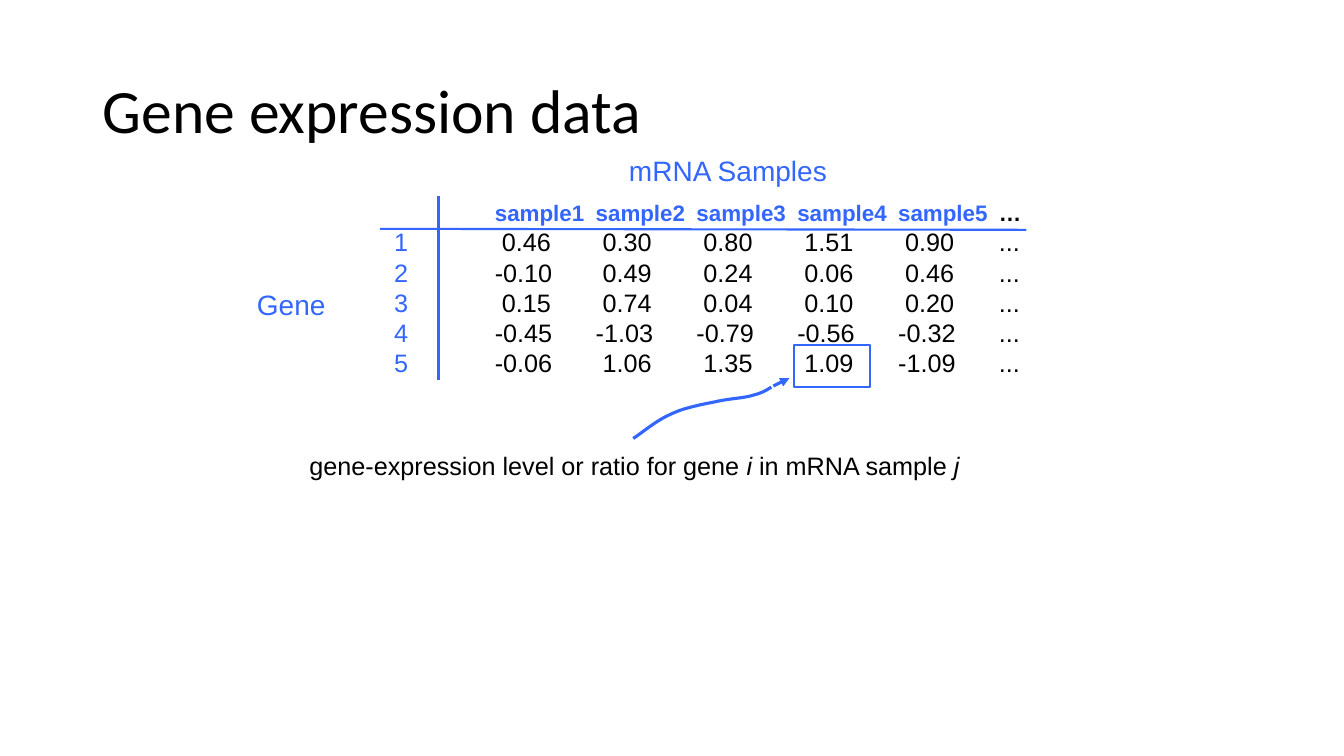
from pptx import Presentation
from pptx.dml.color import RGBColor
from pptx.enum.shapes import MSO_CONNECTOR as Connector, MSO_SHAPE as Preset
from pptx.enum.text import MSO_ANCHOR as Anchor, MSO_AUTO_SIZE as AutoSize, PP_ALIGN as Align
from pptx.oxml.ns import qn
from pptx.util import Inches, Pt
from lxml import etree

BLUE = RGBColor(0x33, 0x66, 0xFF)
BLACK = RGBColor(0x00, 0x00, 0x00)

TITLE = "Gene expression data"
SAMPLES = ["sample1", "sample2", "sample3", "sample4", "sample5"]
EXPRESSION = [
    (0.46, 0.30, 0.80, 1.51, 0.90),
    (-0.10, 0.49, 0.24, 0.06, 0.46),
    (0.15, 0.74, 0.04, 0.10, 0.20),
    (-0.45, -1.03, -0.79, -0.56, -0.32),
    (-0.06, 1.06, 1.35, 1.09, -1.09),
]

LABEL = {"size": Pt(20), "color": BLUE}
BODY = {"size": Pt(18), "color": BLACK}
ITALIC = {**BODY, "italic": True}
GENE_NUMBER = {**BODY, "color": BLUE}
SAMPLE_NAME = {"size": Pt(16), "color": BLUE, "bold": True}
HEADER_END = {**SAMPLE_NAME, "color": BLACK}

CAPTION = [
    ("gene-expression level or ratio for gene ", BODY),
    ("i ", ITALIC),
    ("in mRNA sample ", BODY),
    ("j", ITALIC),
]
HEADER = [("\t", BODY), ("\t".join(SAMPLES), SAMPLE_NAME), (" \t…", HEADER_END)]
GENE_ROWS = [
    [(str(gene), GENE_NUMBER),
     ("".join(f"\t{value: .2f}" for value in values) + "\t...", BODY)]
    for gene, values in enumerate(EXPRESSION, 1)
]

TITLE_AREA = (6.9, 5.33, 86.27, 19.33)
TEXTS = [
    ((18.38, 37.33, 6.6, 5.73), [[("Gene", LABEL)]], 0),
    ((46.06, 19.6, 16.35, 5.73), [[("mRNA Samples", LABEL)]], 0),
    ((22.28, 58.93, 50.34, 5.33), [CAPTION], 0),
    ((28.58, 25.33, 48.61, 25.6), [HEADER, *GENE_ROWS], len(SAMPLES) + 1),
]
COLUMN_WIDTH = Inches(1)
RULES = [(28.28, 30.27, 76.37, 30.4), (32.63, 25.87, 32.63, 50.27)]
VALUE_FRAME = (59.11, 45.6, 5.63, 5.6)
ARROW_TIP = (57.54, 51.07, 58.74, 50)
CURVE_START = (57.39, 51.2)
CURVE_PARTS = [
    ((57.16, 51.47), (56.71, 52), (56.04, 52.27)),
    ((55.36, 52.67), (54.46, 52.67), (53.41, 53.07)),
    ((52.36, 53.47), (50.94, 53.87), (49.89, 54.8)),
    ((48.84, 55.6), (47.71, 57.33), (47.11, 58)),
]
CURVE_STEPS = 10

presentation = Presentation()
presentation.slide_width = Inches(13.33)
presentation.slide_height = Inches(7.5)
slide = presentation.slides.add_slide(presentation.slide_layouts[5])
shapes = slide.shapes


def place(shares):
    sides = (presentation.slide_width, presentation.slide_height)
    return [round(share * sides[index % 2] / 100) for index, share in enumerate(shares)]


def set_values(target, values):
    for name, value in values.items():
        setattr(target, name, value)


def add_run(paragraph, text, style, font_name="Arial"):
    run = paragraph.add_run()
    run.text = text
    values = {"name": font_name, **style}
    run.font.color.rgb = values.pop("color")
    set_values(run.font, values)


def add_tab_stops(paragraph, count):
    properties = paragraph._p.get_or_add_pPr()
    stops = etree.SubElement(properties, qn("a:tabLst"))
    for column in range(1, count + 1):
        etree.SubElement(stops, qn("a:tab"), pos=str(column * COLUMN_WIDTH), algn="l")


def add_text(area, lines, tab_count):
    frame = shapes.add_textbox(*place(area)).text_frame
    set_values(frame, {"word_wrap": False, "auto_size": AutoSize.SHAPE_TO_FIT_TEXT})
    for index, runs in enumerate(lines):
        paragraph = frame.add_paragraph() if index else frame.paragraphs[0]
        if tab_count:
            add_tab_stops(paragraph, tab_count)
        for text, style in runs:
            add_run(paragraph, text, style)


def set_line(shape, width):
    shape.line.color.rgb = BLUE
    shape.line.width = Pt(width)


def add_line(ends, width):
    line = shapes.add_connector(Connector.STRAIGHT, *place(ends))
    set_line(line, width)
    etree.SubElement(line._element.spPr, qn("a:effectLst"))
    return line


def curve_points():
    start = CURVE_START
    for first, second, end in CURVE_PARTS:
        for step in range(1, CURVE_STEPS + 1):
            t = step / CURVE_STEPS
            weights = ((1 - t) ** 3, 3 * t * (1 - t) ** 2, 3 * t ** 2 * (1 - t), t ** 3)
            yield place(
                sum(weight * value for weight, value in zip(weights, axis))
                for axis in zip(start, first, second, end)
            )
        start = end


title = shapes.title
set_values(title, dict(zip(("left", "top", "width", "height"), place(TITLE_AREA))))
set_values(title.text_frame, {
    "vertical_anchor": Anchor.MIDDLE, "word_wrap": True, "auto_size": AutoSize.NONE,
})
heading = title.text_frame.paragraphs[0]
set_values(heading, {"alignment": Align.LEFT, "line_spacing": 0.9})
add_run(heading, TITLE, {"size": Pt(44), "color": BLACK}, "Calibri")

for area, lines, tab_count in TEXTS:
    add_text(area, lines, tab_count)
for ends in RULES:
    add_line(ends, 1.5)

value_frame = shapes.add_shape(Preset.RECTANGLE, *place(VALUE_FRAME))
builder = shapes.build_freeform(*place(CURVE_START))
builder.add_line_segments(list(curve_points()), close=False)
arrow_curve = builder.convert_to_shape()
for shape, width in ((value_frame, 1.5), (arrow_curve, 2.25)):
    shape.fill.background()
    shape.shadow.inherit = False
    set_line(shape, width)

arrow_tip = add_line(ARROW_TIP, 2.25)
etree.SubElement(arrow_tip.line._get_or_add_ln(), qn("a:tailEnd"), type="triangle")

presentation.save("out.pptx")
